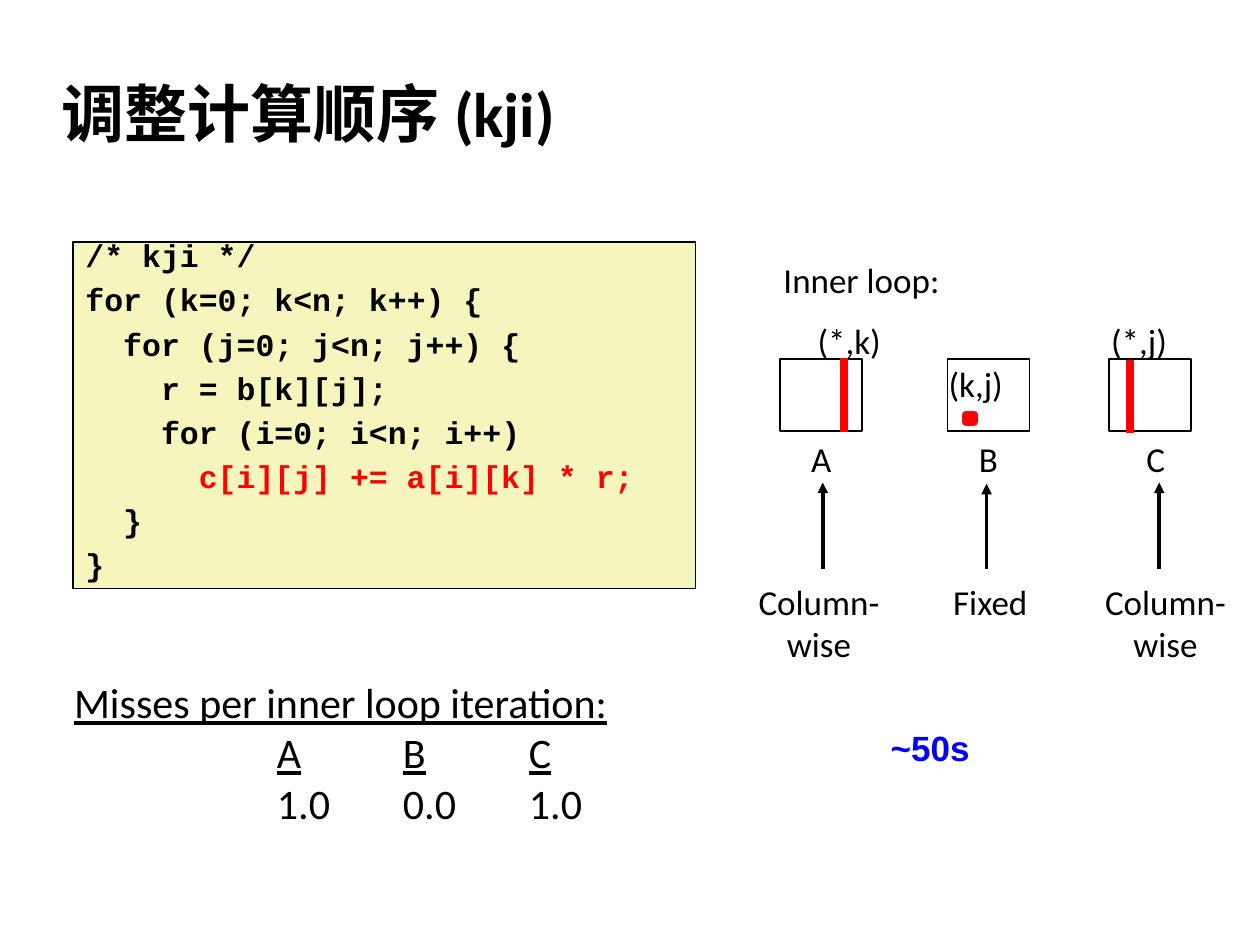
from lxml.etree import SubElement
from pptx import Presentation
from pptx.dml.color import RGBColor
from pptx.enum.shapes import MSO_CONNECTOR as Line, MSO_SHAPE as Shape
from pptx.enum.text import MSO_ANCHOR as Anchor, PP_ALIGN as Align
from pptx.oxml.ns import qn
from pptx.util import Inches, Pt

BLACK, RED = "000000", "FF0000"


def color(value):
    return RGBColor.from_string(value)


def write(para, text, size=20, font="Calibri", ink=BLACK, bold=False, underline=False):
    span = para.add_run()
    span.text = text
    span.font.size = Pt(size)
    span.font.name = font
    span.font.color.rgb = color(ink)
    span.font.bold = bold
    span.font.underline = underline


deck = Presentation()
deck.slide_width, deck.slide_height = Inches(10), Inches(7.5)
page = deck.slides.add_slide(deck.slide_layouts[5])

title = page.shapes.title
title.left, title.top = Inches(0.39), Inches(0.48)
title.width, title.height = Inches(8.3), Inches(0.83)
title.text_frame.vertical_anchor = Anchor.MIDDLE
para = title.text_frame.paragraphs[0]
para.alignment = Align.LEFT
write(para, "调整计算顺序 (kji)", size=36, bold=True)

rectangles = [
    (0.58, 1.92, 4.94, 2.75, "F6F5BD", BLACK, 1),
    (6.19, 2.85, 0.65, 0.57, "FFFFFF", BLACK, 1),
    (7.52, 2.85, 0.65, 0.57, "FFFFFF", BLACK, 1),
    (8.8, 2.85, 0.65, 0.57, "FFFFFF", BLACK, 1),
    (7.67, 3.29, 0.06, 0.06, BLACK, RED, 4.5),
]
boxes = []
for left, top, width, height, fill, ink, weight in rectangles:
    box = page.shapes.add_shape(
        Shape.RECTANGLE, Inches(left), Inches(top), Inches(width), Inches(height))
    box.shadow.inherit = False
    box.fill.solid()
    box.fill.fore_color.rgb = color(fill)
    box.line.color.rgb = color(ink)
    box.line.width = Pt(weight)
    boxes.append(box)

code = [
    ("/* kji */", ""),
    ("for (k=0; k<n; k++) {", ""),
    ("  for (j=0; j<n; j++) {", ""),
    ("    r = b[k][j];", ""),
    ("    for (i=0; i<n; i++)", ""),
    ("      ", "c[i][j] += a[i][k] * r;"),
    ("  }", ""),
    ("}", ""),
]
frame = boxes[0].text_frame
frame.word_wrap = True
frame.vertical_anchor = Anchor.TOP
for number, parts in enumerate(code):
    para = frame.add_paragraph() if number else frame.paragraphs[0]
    para.alignment = Align.LEFT
    para.line_spacing = 0.65
    para.space_before = Pt(11.2 if number else 0)
    for text, ink in zip(parts, (BLACK, RED)):
        if text:
            write(para, text, size=18, font="Courier New", ink=ink, bold=True)

labels = [
    (6.12, 2, 1.44, ["Inner loop:"], Align.LEFT),
    (6.39, 2.49, 0.7, ["(*,k)"], Align.LEFT),
    (7.43, 2.83, 0.63, ["(k,j)"], Align.LEFT),
    (8.72, 2.49, 0.64, ["(*,j)"], Align.LEFT),
    (6.34, 3.42, 0.36, ["A"], Align.LEFT),
    (7.67, 3.42, 0.35, ["B"], Align.LEFT),
    (9, 3.42, 0.35, ["C"], Align.LEFT),
    (5.92, 4.56, 1.16, ["Column-", "wise"], Align.CENTER),
    (7.46, 4.56, 0.8, ["Fixed"], Align.CENTER),
    (8.67, 4.56, 1.16, ["Column-", "wise"], Align.CENTER),
]
for left, top, width, lines, alignment in labels:
    height = 0.1 + 0.33 * len(lines)
    box = page.shapes.add_textbox(Inches(left), Inches(top), Inches(width), Inches(height))
    frame = box.text_frame
    frame.word_wrap = False
    for number, text in enumerate(lines):
        para = frame.add_paragraph() if number else frame.paragraphs[0]
        para.alignment = alignment
        write(para, text)

lines = [
    (6.7, 3.43, 2.84, RED, 4.5, False),
    (8.97, 3.44, 2.86, RED, 4.5, False),
    (6.53, 4.52, 3.83, BLACK, 2, True),
    (7.83, 4.52, 3.84, BLACK, 2, True),
    (9.2, 4.52, 3.83, BLACK, 2, True),
]
for x, start, end, ink, weight, arrow in lines:
    line = page.shapes.add_connector(
        Line.STRAIGHT, Inches(x), Inches(start), Inches(x), Inches(end))
    line.line.color.rgb = color(ink)
    line.line.width = Pt(weight)
    if arrow:
        SubElement(line.line._get_or_add_ln(), qn("a:tailEnd"), type="triangle")
    SubElement(line._element.spPr, qn("a:effectLst"))

box = page.shapes.add_textbox(Inches(0.49), Inches(5.32), Inches(5.43), Inches(1.34))
frame = box.text_frame
frame.word_wrap = True
write(frame.paragraphs[0], "Misses per inner loop iteration:", size=24, underline=True)
for cells, underline in ((("A", "B", "C"), True), (("1.0", "0.0", "1.0"), False)):
    para = frame.add_paragraph()
    tabs = SubElement(para._p.get_or_add_pPr(), qn("a:tabLst"))
    for column in range(3):
        SubElement(tabs, qn("a:tab"), pos=str(Inches(1.61 + column)), algn="l")
    for cell in cells:
        write(para, "\t", size=24)
        write(para, cell, size=24, underline=underline)

box = page.shapes.add_textbox(Inches(6.97), Inches(5.72), Inches(1.42), Inches(0.44))
box.text_frame.word_wrap = True
write(box.text_frame.paragraphs[0], "~50s", font="Arial", ink="0000FF", bold=True)

deck.save("out.pptx")
